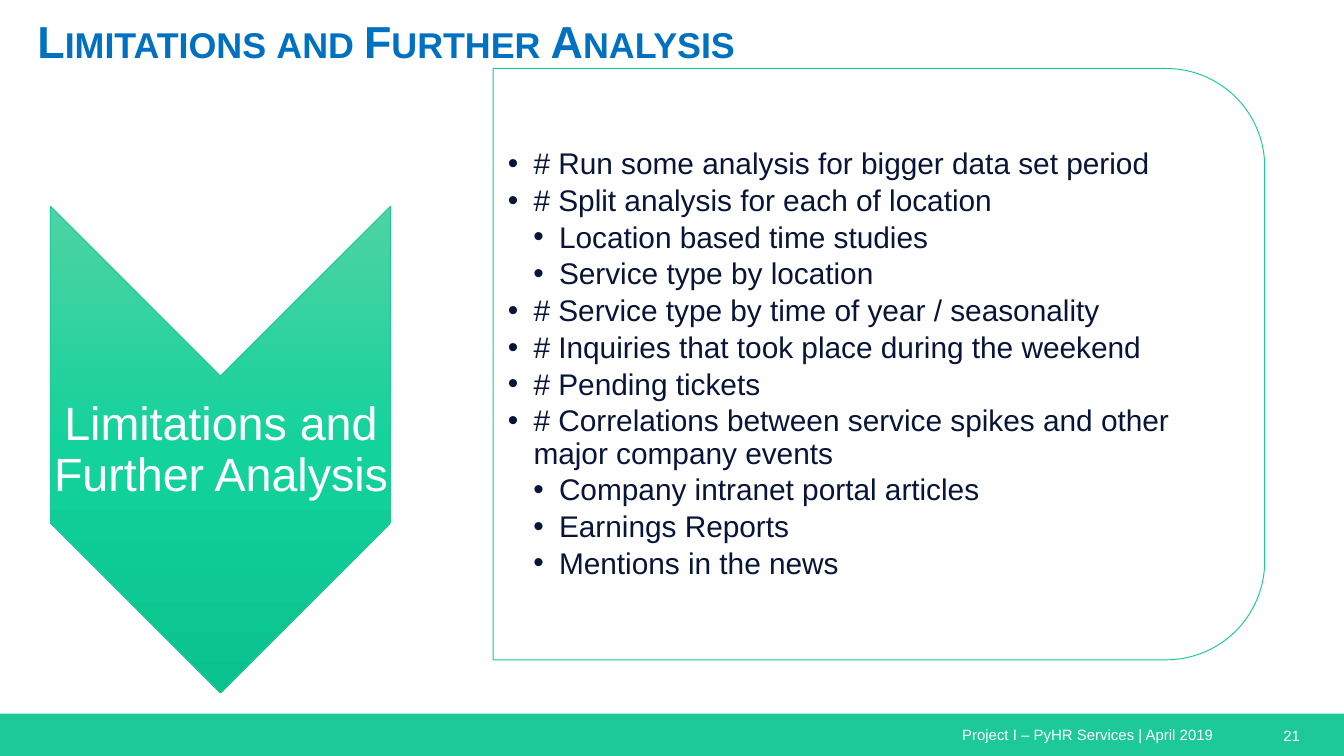
from lxml.etree import SubElement
from pptx import Presentation
from pptx.dml.color import RGBColor
from pptx.enum.shapes import MSO_SHAPE
from pptx.enum.text import MSO_ANCHOR, PP_ALIGN
from pptx.oxml.ns import qn
from pptx.util import Inches, Pt

TITLE = "Limitations and Further Analysis"
ITEMS = [
    (1, "# Run some analysis for bigger data set period"),
    (1, "# Split analysis for each of location"),
    (2, "Location based time studies"),
    (2, "Service type by location"),
    (1, "# Service type by time of year / seasonality"),
    (1, "# Inquiries that took place during the weekend"),
    (1, "# Pending tickets"),
    (1, "# Correlations between service spikes and other major company events"),
    (2, "Company intranet portal articles"),
    (2, "Earnings Reports"),
    (2, "Mentions in the news"),
]
FOOT = [
    ("Project I – PyHR Services | April 2019", (7.06, 5.35, 2.32, 0.24)),
    ("21", (9.45, 5.36, 0.55, 0.24)),
]
GREEN, WHITE, BLUE, NAVY = "1CC997", "FFFFFF", "0070C0", "081538"
FADE = [(0, "4ED3A3"), (50, "13D29B"), (100, "0AC28D")]
WIDE = 10
STEP = 0.19


def color(code):
    return RGBColor.from_string(code)


def add_form(kind, spot, fill, line=None, turn=0):
    form = slide.shapes.add_shape(kind, *map(Inches, spot))
    form.shadow.inherit = False
    form.rotation = turn
    form.fill.solid()
    form.fill.fore_color.rgb = color(fill)
    if line:
        form.line.color.rgb = color(line)
        form.line.width = Pt(0.5)
    else:
        form.line.fill.background()
    return form


def add_box(spot, pads=(0.1, 0.05, 0.1, 0.05), anchor=MSO_ANCHOR.TOP):
    frame = slide.shapes.add_textbox(*map(Inches, spot)).text_frame
    frame.word_wrap = True
    frame.vertical_anchor = anchor
    (frame.margin_left, frame.margin_top,
     frame.margin_right, frame.margin_bottom) = map(Inches, pads)
    return frame


def add_run(para, text, size, code):
    run = para.add_run()
    run.text = text
    run.font.size = Pt(size)
    run.font.name = "Arial"
    run.font.color.rgb = color(code)
    return run


def set_fade(form, stops):
    old = form.fill._xPr.find(qn("a:solidFill"))
    grad = old.makeelement(qn("a:gradFill"), {"rotWithShape": "0"})
    old.getparent().replace(old, grad)
    group = SubElement(grad, qn("a:gsLst"))
    for place, code in stops:
        stop = SubElement(group, qn("a:gs"), pos=str(place * 1000))
        SubElement(stop, qn("a:srgbClr"), val=code)
    SubElement(grad, qn("a:lin"), ang="5400000", scaled="0")


def set_bullet(para, level):
    props = para._p.get_or_add_pPr()
    props.set("marL", str(Inches(STEP * level)))
    props.set("indent", str(-Inches(STEP)))
    SubElement(props, qn("a:buFont"), typeface="Arial")
    SubElement(props, qn("a:buChar"), char="•")


deck = Presentation()
deck.slide_width, deck.slide_height = Inches(WIDE), Inches(WIDE * 9 / 16)
slide = deck.slides.add_slide(deck.slide_layouts[6])

add_form(MSO_SHAPE.RECTANGLE, (0, 5.31, WIDE, 0.32), GREEN)
for text, spot in FOOT:
    add_run(add_box(spot).paragraphs[0], text, 8, WHITE)

head = add_box((0.18, 0, 6.25, 0.81), (0.1,) * 4)
run = add_run(head.paragraphs[0], TITLE, 24, BLUE)
run.font.bold = True
run.font._element.set("cap", "small")

arrow = add_form(MSO_SHAPE.CHEVRON, (-0.17, 2.08, 3.62, 2.53), GREEN, GREEN, 90)
set_fade(arrow, FADE)
label = add_box((0.38, 2.81, 2.53, 1.09), (0.02,) * 4, MSO_ANCHOR.MIDDLE)
para = label.paragraphs[0]
para.alignment = PP_ALIGN.CENTER
para.line_spacing = 0.9
add_run(para, TITLE, 25, WHITE)

panel = add_form(MSO_SHAPE.ROUND_2_SAME_RECTANGLE, (4.34, -0.16, 4.4, 5.74),
                 WHITE, GREEN, 90)
tint = panel.fill._xPr.find(qn("a:solidFill"))[0]
SubElement(tint, qn("a:alpha"), val="90000")

body = add_box((3.66, 0.73, 5.53, 3.97), (0.12, 0.01, 0.01, 0.01), MSO_ANCHOR.MIDDLE)
for spot, (level, text) in enumerate(ITEMS):
    para = body.add_paragraph() if spot else body.paragraphs[0]
    para.level = level
    para.line_spacing = 0.9
    para.space_after = Pt(2.4)
    set_bullet(para, level)
    add_run(para, text, 16, NAVY)

deck.save("out.pptx")
